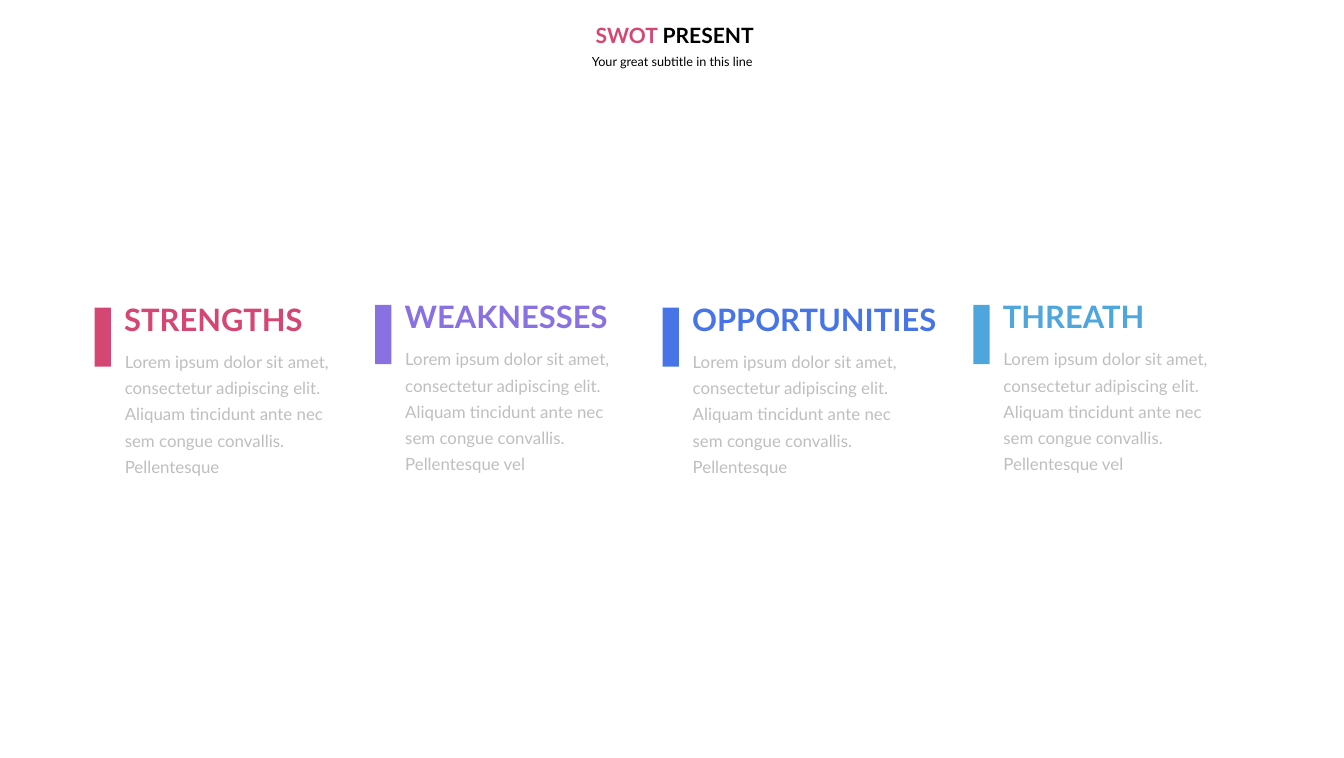
"""Build a SWOT slide with four coloured columns."""
from pptx import Presentation
from pptx import util as u
from pptx.dml.color import RGBColor
from pptx.enum import shapes, text

PINK = RGBColor(0xD5, 0x47, 0x73)
PURPLE = RGBColor(0x89, 0x71, 0xE1)
BLUE = RGBColor(0x47, 0x75, 0xE7)
SKY = RGBColor(0x4E, 0xA6, 0xDC)
GREY = RGBColor(0xBF, 0xBF, 0xBF)
BLACK = RGBColor(0, 0, 0)

TITLE = [("SWOT ", PINK), ("PRESENT", BLACK)]
SUB = "Your great subtitle in this line"
LOREM = ("Lorem ipsum dolor sit amet, consectetur adipiscing elit. "
         "Aliquam tincidunt ante nec sem congue convallis. Pellentesque")
LONG = LOREM + " vel"
COLUMNS = [
    ("STRENGTHS", LOREM, PINK, 2.2, 6.69, 5.06),
    ("WEAKNESSES", LONG, PURPLE, 7.75, 6.64, 5.01),
    ("OPPORTUNITIES", LOREM, BLUE, 13.44, 6.69, 5.06),
    ("THREATH", LONG, SKY, 19.59, 6.64, 5.01),
]


def place(box, area):
    box.left, box.top, box.width, box.height = map(u.Inches, area)


def write(box, runs, size, bold=False, align=text.PP_ALIGN.LEFT,
          anchor=text.MSO_ANCHOR.TOP, inset=(0.1, 0.05), spacing=1.0):
    frame = box.text_frame
    frame.word_wrap = True
    frame.auto_size = text.MSO_AUTO_SIZE.SHAPE_TO_FIT_TEXT
    frame.vertical_anchor = anchor
    frame.margin_left = frame.margin_right = u.Inches(inset[0])
    frame.margin_top = frame.margin_bottom = u.Inches(inset[1])
    para = frame.paragraphs[0]
    para.alignment = align
    para.line_spacing = spacing
    para.space_before = u.Pt(0)
    for words, color in runs:
        run = para.add_run()
        run.text = words
        run.font.name = "Lato"
        run.font.size = u.Pt(size)
        run.font.bold = bold
        run.font.color.rgb = color


def add_column(slide, head, body, color, left, top, width):
    box = slide.shapes.add_textbox(0, 0, 0, 0)
    place(box, (left, top, width, 2.89))
    write(box, [(body, GREY)], 24, anchor=text.MSO_ANCHOR.MIDDLE,
          inset=(0.27, 0.13), spacing=1.3)

    box = slide.shapes.add_textbox(0, 0, 0, 0)
    place(box, (left + 0.16, top - 0.79, 5.52, 0.84))
    write(box, [(head, color)], 44, bold=True)

    bar = slide.shapes.add_shape(shapes.MSO_SHAPE.RECTANGLE, 0, 0, 0, 0)
    place(bar, (left - 0.75, top - 0.18, 1.17, 0.32))
    bar.rotation = 270
    bar.shadow.inherit = False
    bar.fill.solid()
    bar.fill.fore_color.rgb = color
    bar.line.fill.background()


def main():
    deck = Presentation()
    deck.slide_width, deck.slide_height = u.Inches(26.6), u.Inches(15)
    slide = deck.slides.add_slide(deck.slide_layouts[0])
    title, sub = slide.placeholders
    center = text.PP_ALIGN.CENTER
    place(title, (8.3, 0.34, 10.11, 0.71))
    write(title, TITLE, 30, bold=True, align=center, inset=(0.2, 0.1))
    place(sub, (9.22, 0.95, 8.17, 0.55))
    write(sub, [(SUB, BLACK)], 18, align=center, inset=(0.24, 0.12))
    for column in COLUMNS:
        add_column(slide, *column)
    deck.save("out.pptx")


if __name__ == "__main__":
    main()
